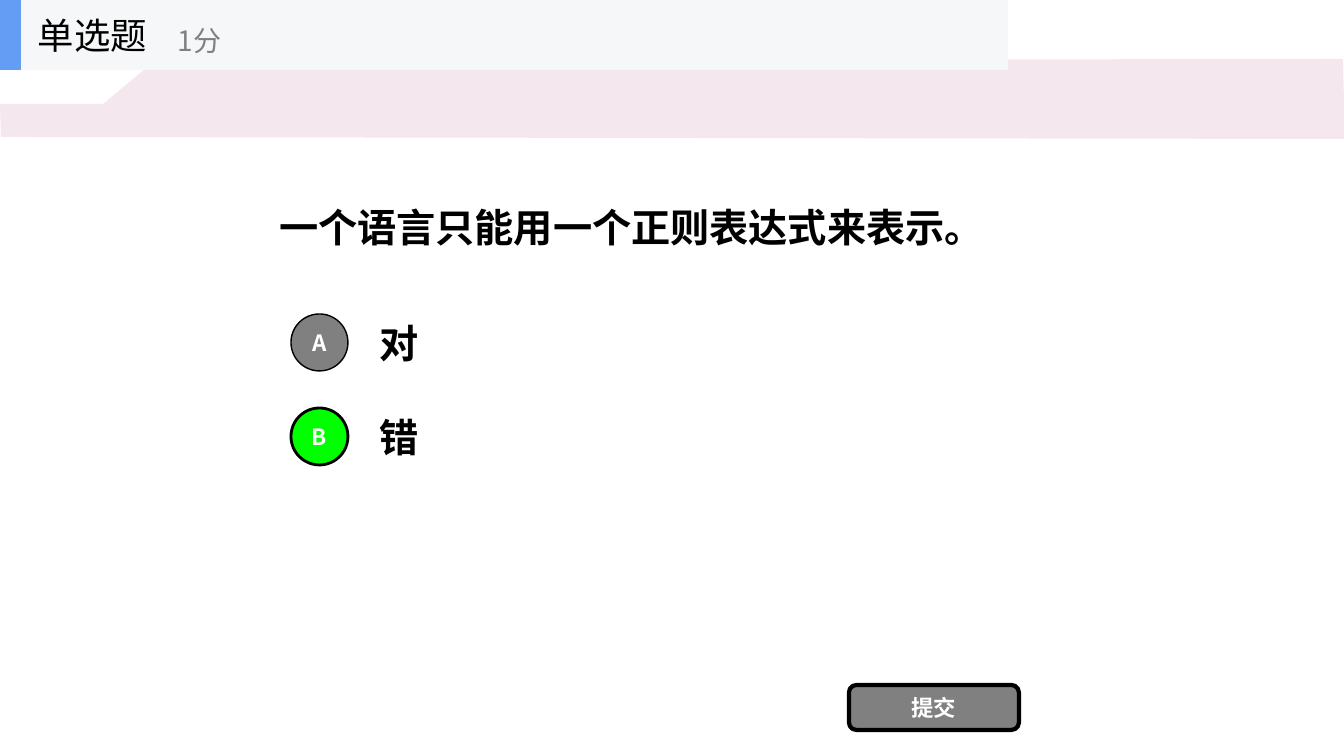
from dataclasses import dataclass

from lxml.etree import SubElement
from pptx import Presentation
from pptx.dml.color import RGBColor
from pptx.enum.shapes import MSO_SHAPE
from pptx.enum.text import MSO_ANCHOR, MSO_AUTO_SIZE, PP_ALIGN
from pptx.oxml.ns import qn
from pptx.util import Inches, Pt

SCALE = Inches(1) / 100.8


@dataclass(frozen=True)
class Theme:
    font: str = "Noto Sans CJK SC"
    black: str = "000000"
    white: str = "FFFFFF"
    grey: str = "808080"
    green: str = "00FF00"
    blue: str = "639EF4"
    header: str = "F6F7F8"
    band: str = "F4E7ED"
    question_size: int = 28
    heading_size: int = 26
    score_size: int = 20
    button_size: int = 16


THEME = Theme()
QUESTION = "一个语言只能用一个正则表达式来表示。"
OPTIONS = [
    ("A", "对", THEME.grey, 1),
    ("B", "错", THEME.green, 2),
]
SUBMIT = "提交"
HEADING = "单选题"
SCORE = "1分"

BAND_POINTS = [
    (0, 104), (103, 104), (181, 39), (504, 39),
    (528, 60), (1343, 59), (1345, 139), (1, 137),
]
OPTION_TOP, OPTION_STEP = 307, 94
OPTION_HEIGHT, CIRCLE_SIZE = 71, 57
HEADER_HEIGHT = 70


def px(value):
    return round(value * SCALE)


def color(value):
    return RGBColor.from_string(value)


def write(shape, text, size, ink, bold=False, align=PP_ALIGN.LEFT):
    frame = shape.text_frame
    frame.text = text
    frame.word_wrap = True
    frame.auto_size = MSO_AUTO_SIZE.NONE
    frame.vertical_anchor = MSO_ANCHOR.MIDDLE
    paragraph = frame.paragraphs[0]
    paragraph.alignment = align
    paragraph.line_spacing = 1.0
    font = paragraph.font
    font.size = Pt(size)
    font.bold = bold
    font.color.rgb = color(ink)
    font.name = THEME.font
    properties = paragraph._p.pPr.find(qn("a:defRPr"))
    SubElement(properties, qn("a:ea"), typeface=THEME.font)


def add_text(slide, box, text, size, ink, bold=False):
    shape = slide.shapes.add_textbox(*map(px, box))
    write(shape, text, size, ink, bold)


def paint(shape, fill, line_width=0):
    shape.shadow.inherit = False
    shape.fill.solid()
    shape.fill.fore_color.rgb = color(fill)
    if line_width:
        shape.line.color.rgb = color(THEME.black)
        shape.line.width = Pt(line_width)
    else:
        shape.line.fill.background()


def add_block(slide, box, fill):
    shape = slide.shapes.add_shape(MSO_SHAPE.RECTANGLE, *map(px, box))
    paint(shape, fill)


def add_button(slide, kind, box, label, fill, line_width):
    shape = slide.shapes.add_shape(kind, *map(px, box))
    paint(shape, fill, line_width)
    frame = shape.text_frame
    frame.margin_left = frame.margin_right = 0
    frame.margin_top = frame.margin_bottom = 0
    write(shape, label, THEME.button_size, THEME.white, True, PP_ALIGN.CENTER)


def add_band(slide):
    builder = slide.shapes.build_freeform(*BAND_POINTS[0], scale=SCALE)
    builder.add_line_segments(BAND_POINTS[1:], close=True)
    paint(builder.convert_to_shape(), THEME.band)


def add_question(slide):
    title = slide.shapes.title
    title.left, title.top, title.width, title.height = map(px, (269, 148, 806, 158))
    write(title, QUESTION, THEME.question_size, THEME.black, True)


def add_options(slide):
    for index, (letter, answer, fill, line_width) in enumerate(OPTIONS):
        top = OPTION_TOP + index * OPTION_STEP
        circle_top = top + (OPTION_HEIGHT - CIRCLE_SIZE) / 2
        add_text(slide, (370, top, 706, OPTION_HEIGHT), answer,
                 THEME.question_size, THEME.black, True)
        add_button(slide, MSO_SHAPE.OVAL, (291, circle_top, CIRCLE_SIZE, CIRCLE_SIZE),
                   letter, fill, line_width)


def add_header(slide):
    add_block(slide, (0, 0, 1008, HEADER_HEIGHT), THEME.header)
    add_block(slide, (0, 0, 21, HEADER_HEIGHT), THEME.blue)
    add_text(slide, (28, 0, 210, HEADER_HEIGHT), HEADING, THEME.heading_size, THEME.black)
    add_text(slide, (168, 12, 252, 56), SCORE, THEME.score_size, THEME.grey)


def main():
    presentation = Presentation()
    presentation.slide_width = px(1344)
    presentation.slide_height = px(756)
    slide = presentation.slides.add_slide(presentation.slide_layouts[5])
    add_band(slide)
    add_question(slide)
    add_options(slide)
    add_button(slide, MSO_SHAPE.ROUNDED_RECTANGLE, (849, 685, 170, 45),
               SUBMIT, THEME.grey, 3)
    add_header(slide)
    presentation.save("out.pptx")


if __name__ == "__main__":
    main()
